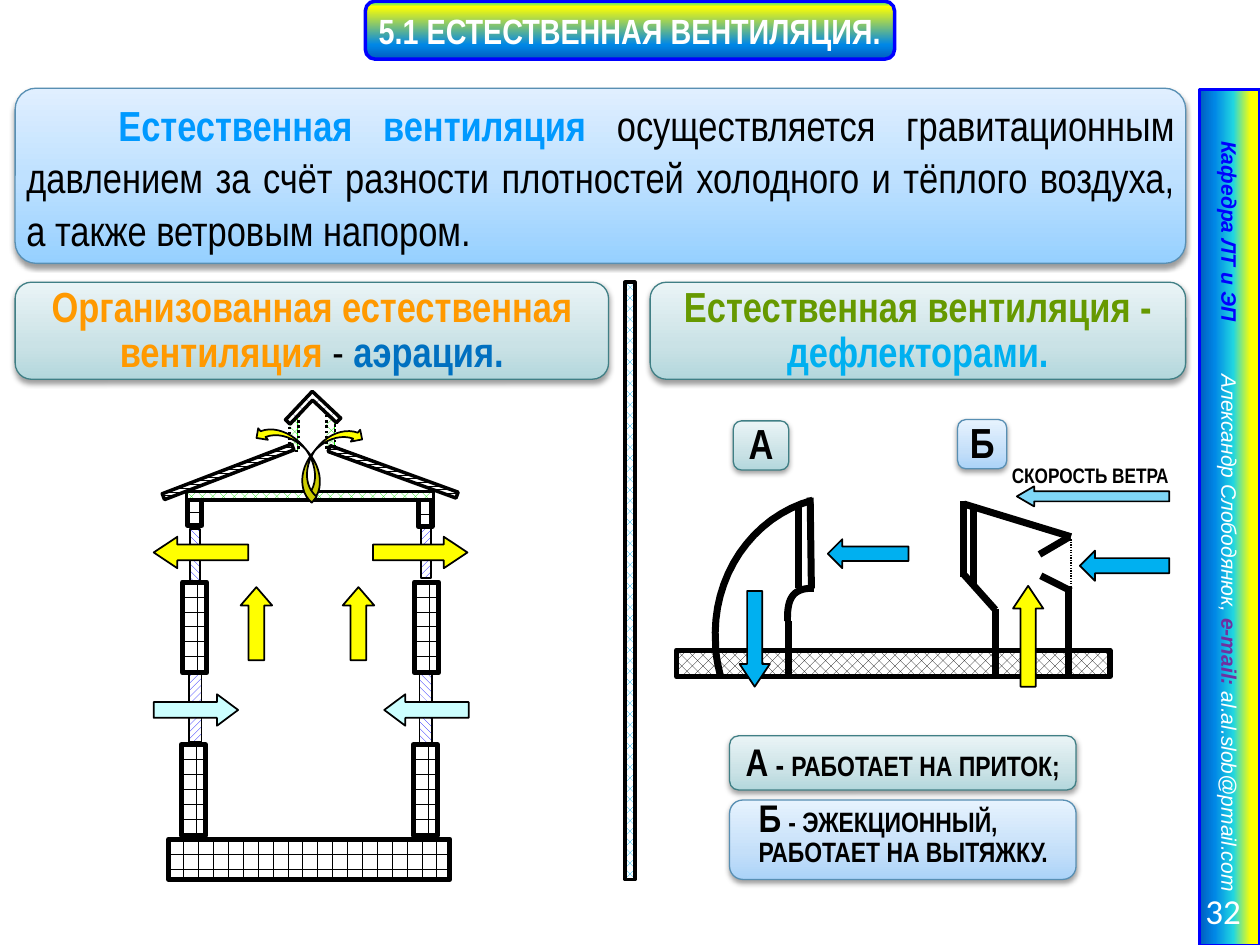
from pptx import Presentation
from pptx.dml.color import RGBColor
from pptx.enum.dml import MSO_LINE, MSO_PATTERN
from pptx.enum.shapes import MSO_CONNECTOR, MSO_SHAPE
from pptx.enum.text import MSO_ANCHOR, MSO_AUTO_SIZE, PP_ALIGN
from pptx.oxml.ns import qn
from pptx.util import Inches, Pt
from lxml import etree

RECT, ROUND, CORNER = MSO_SHAPE.RECTANGLE, MSO_SHAPE.ROUNDED_RECTANGLE, MSO_SHAPE.CORNER
LEFT, RIGHT = MSO_SHAPE.LEFT_ARROW, MSO_SHAPE.RIGHT_ARROW
UP, DOWN, CURVED = MSO_SHAPE.UP_ARROW, MSO_SHAPE.DOWN_ARROW, MSO_SHAPE.CURVED_UP_ARROW
BRICK, WEAVE, ZIGZAG = MSO_PATTERN.HORIZONTAL_BRICK, MSO_PATTERN.WEAVE, MSO_PATTERN.ZIG_ZAG
RISE, FALL = MSO_PATTERN.WIDE_UPWARD_DIAGONAL, MSO_PATTERN.WIDE_DOWNWARD_DIAGONAL
DOTS, LIGHT = MSO_PATTERN.PERCENT_60, MSO_PATTERN.PERCENT_25
DOTTED, STRAIGHT = MSO_LINE.ROUND_DOT, MSO_CONNECTOR.STRAIGHT
MIDDLE, NOFIT = MSO_ANCHOR.MIDDLE, MSO_AUTO_SIZE.NONE
START, CENTER, END, JUST = PP_ALIGN.LEFT, PP_ALIGN.CENTER, PP_ALIGN.RIGHT, PP_ALIGN.JUSTIFY

BLACK, WHITE = RGBColor(0, 0, 0), RGBColor(255, 255, 255)
BLUE, AZURE = RGBColor(0, 0, 0xFF), RGBColor(0, 0x99, 0xFF)
ORANGE, NAVY = RGBColor(0xFF, 0x99, 0), RGBColor(0, 0x70, 0xC0)
OLIVE, SKY = RGBColor(0x66, 0x99, 0), RGBColor(0, 0xB0, 0xF0)
PURPLE, GREEN = RGBColor(0x70, 0x30, 0xA0), RGBColor(0x13, 0xDF, 3)
YELLOW, PALE = RGBColor(0xFF, 0xFF, 0), RGBColor(0xCC, 0xFF, 0xFF)
SLATE = RGBColor(0x53, 0x54, 0x8A)
STEEL, TEAL = RGBColor(0x58, 0x8F, 0xB3), RGBColor(0x40, 0x7F, 0x85)

# Gradients: (share, colour) stops, then the angle counted anticlockwise
HEAD = ([(0, "03D4A8"), (9, "FFFF00"), (75, "0087E6"), (100, "005CBF")], 270)
SIDE = ([(15, "FFFF00"), (44, "21D6E0"), (75, "0087E6"), (100, "005CBF")], 270)
CLEAR = ([(0, "96D0FF"), (50, "BFE1FF"), (100, "E0EFFF")], 90)
MINT = ([(0, "B3D7DC"), (35, "CAE2E6"), (100, "EAF4F6")], 90)
ICE = ([(0, "ABD3F8"), (35, "C4DFF9"), (100, "E7F3FE")], 90)

# Runs: text, size, colour, bold
TITLE = [("5.1 ЕСТЕСТВЕННАЯ ВЕНТИЛЯЦИЯ.", 20, WHITE, True)]
INTRO = [("Естественная вентиляция ", 24, AZURE, True),
         ("осуществляется гравитационным давлением за счёт разности плотностей "
          "холодного и тёплого воздуха, а также ветровым напором.", 24, BLACK, False)]
ROOF = [("Организованная естественная вентиляция ", 24, ORANGE, True),
        ("- ", 24, BLACK, False), ("аэрация.", 24, NAVY, True)]
CAPS = [("Естественная вентиляция - ", 24, OLIVE, True), ("дефлекторами.", 24, SKY, True)]
KEY_A = [("А", 22, BLACK, True), (" - ", 18, BLACK, True),
         ("РАБОТАЕТ НА ПРИТОК;", 16, BLACK, True)]
KEY_B = [("Б", 22, BLACK, True), (" ", 18, BLACK, True),
         ("- ЭЖЕКЦИОННЫЙ, РАБОТАЕТ НА ВЫТЯЖКУ.", 16, BLACK, True)]
AUTHOR = [("Кафедра ЛТ и ЭП\t", 12, BLUE, True), ("Александр Слободянюк, ", 12, WHITE, False),
          ("e-mail: ", 12, PURPLE, True), ("al.al.slob@pmail.com", 12, WHITE, False)]

# Cards: place, gradient, edge, runs, alignment, line spacing, left inset
CARDS = [
    ((0.12, 0.7, 9.29, 1.39), CLEAR, STEEL, INTRO, JUST, 30, 0.04),
    ((0.12, 2.24, 4.71, 0.77), MINT, TEAL, ROOF, CENTER, 26, 0.04),
    ((5.16, 2.24, 4.25, 0.77), MINT, TEAL, CAPS, CENTER, 26, 0.04),
    ((5.79, 5.84, 2.75, 0.43), MINT, TEAL, KEY_A, CENTER, 24, 0.04),
    ((5.79, 6.35, 2.75, 0.63), ICE, STEEL, KEY_B, START, 16, 0.2),
    ((5.82, 3.34, 0.44, 0.39), MINT, TEAL, [("А", 24, BLACK, True)], CENTER, 26, 0.04),
    ((7.6, 3.33, 0.39, 0.39), ICE, STEEL, [("Б", 24, BLACK, True)], CENTER, 26, 0.04)]

# House pairs: left x, right x, left y, right y, width, height, patterns, colour, line
PAIRS = [
    (1.51, 3.34, 4.2, 4.18, 0.08, 0.41, FALL, RISE, BLUE, 1),
    (1.5, 3.33, 5.32, 5.34, 0.1, 0.57, RISE, FALL, BLUE, 1),
    (2.3, 2.59, 3.3, 3.29, 0.07, 0.28, DOTS, DOTS, GREEN, 1.5),
    (1.44, 3.28, 5.91, 5.91, 0.19, 0.72, BRICK, BRICK, BLACK, 3),
    (1.45, 3.29, 4.62, 4.62, 0.19, 0.72, BRICK, BRICK, BLACK, 3),
    (1.49, 3.32, 3.95, 3.96, 0.11, 0.22, BRICK, BRICK, BLACK, 3)]
# Single parts: shape, place, pattern, colour, line, turn
PARTS = [
    (RECT, (1.34, 6.66, 2.23, 0.32), BRICK, BLACK, 3, 0),
    (RECT, (1.48, 3.9, 1.96, 0.07), WEAVE, GREEN, 2, 0),
    (CORNER, (2.33, 3.17, 0.31, 0.31), LIGHT, SLATE, 2, 133.3),
    (RECT, (2.58, 3.72, 1.08, 0.05), ZIGZAG, BLACK, 2, 20),
    (RECT, (1.26, 3.72, 1.1, 0.05), ZIGZAG, BLACK, 2, 159),
    (RECT, (5.37, 5.16, 3.44, 0.21), WEAVE, BLACK, 3, 0),
    (RECT, (4.96, 2.24, 0.08, 4.74), WEAVE, SKY, 2, 0)]
# Air flows: shape, place, colour, head length
HOUSE_AIR = [
    (RIGHT, (1.22, 5.51, 0.67, 0.25), PALE, 0.67), (LEFT, (3.05, 5.51, 0.67, 0.25), PALE, 0.67),
    (UP, (1.91, 4.66, 0.25, 0.58), YELLOW, 0.58), (UP, (2.72, 4.66, 0.25, 0.58), YELLOW, 0.58),
    (RIGHT, (2.96, 4.26, 0.75, 0.25), YELLOW, 0.75),
    (LEFT, (1.22, 4.26, 0.75, 0.25), YELLOW, 0.75)]
CAP_AIR = [
    (LEFT, (6.57, 4.28, 0.64, 0.23), SKY, 0.5), (LEFT, (8.57, 4.37, 0.71, 0.24), SKY, 0.5),
    (DOWN, (5.87, 4.69, 0.24, 0.76), SKY, 0.75), (UP, (8.04, 4.65, 0.24, 0.8), YELLOW, 0.75)]
WIND = (LEFT, (8.07, 3.86, 1.21, 0.16), SKY, 0.86)
# Deflector walls: straight runs and Bezier curves
WALLS = [
    (6.34, 4, 6.34, 4.67), (6.43, 3.95, 6.44, 4.67), (6.26, 4.93, 6.26, 5.39),
    (7.65, 4, 8.5, 4.26), (7.65, 3.98, 7.65, 4.58), (8.48, 4.65, 8.48, 5.39),
    (8.25, 4.4, 8.49, 4.26), (8.5, 4.69, 8.26, 4.57), (7.9, 4.83, 7.9, 5.39),
    (7.73, 4, 7.73, 4.65), (7.65, 4.56, 7.9, 4.84)]
CURVES = [
    [(6.45, 3.97), (5.97, 4.1), (5.64, 4.58), (5.68, 5.12), (5.68, 5.2), (5.7, 5.29), (5.72, 5.37)],
    [(6.46, 4.67), (6.42, 4.67), (6.38, 4.67), (6.34, 4.69), (6.25, 4.73), (6.25, 4.85), (6.25, 4.93)]]

prs = Presentation()
prs.slide_width, prs.slide_height = Inches(10), Inches(7.5)
slide = prs.slides.add_slide(prs.slide_layouts[5])
shapes = slide.shapes


def edge(shape, color, width):
    shape.line.color.rgb, shape.line.width = color, Pt(width)


def shade(shape, grad):
    stops, angle = grad
    shape.fill.gradient()
    shape.fill.gradient_angle = angle
    box = next(shape.element.iter(qn("a:gsLst")))
    for old in list(box):
        box.remove(old)
    for share, color in stops:
        stop = etree.SubElement(box, qn("a:gs"), pos=str(share * 1000))
        etree.SubElement(stop, qn("a:srgbClr"), val=color)


def alpha(node, share):
    etree.SubElement(node, qn("a:alpha"), val=str(share * 1000))


def write(shape, runs, align, font="Arial Narrow", left=0.04, wrap=True, italic=None):
    frame = shape.text_frame
    frame.auto_size, frame.word_wrap, frame.vertical_anchor = NOFIT, wrap, MIDDLE
    frame.margin_left = Inches(left)
    frame.margin_right = frame.margin_top = frame.margin_bottom = Inches(0.04)
    para = frame.paragraphs[0]
    para.alignment = align
    for text, size, color, bold in runs:
        run = para.add_run()
        run.text = text
        face = run.font
        face.name, face.size, face.bold, face.italic = font, Pt(size), bold, italic
        face.color.rgb = color
    return para


def add(kind, place, width=1, color=BLACK, turn=0):
    shape = shapes.add_shape(kind, *map(Inches, place))
    shape.shadow.inherit = False
    shape.rotation = turn
    edge(shape, color, width)
    return shape


def hatch(kind, place, pattern, color, width, turn=0):
    shape = add(kind, place, width, turn=turn)
    shape.fill.patterned()
    shape.fill.pattern = pattern
    shape.fill.fore_color.rgb, shape.fill.back_color.rgb = color, WHITE
    return shape


def flow(kind, place, color, head=None, turn=0):
    shape = add(kind, place, turn=turn)
    shape.fill.solid()
    shape.fill.fore_color.rgb = color
    if head:
        shape.adjustments[1] = head
    return shape


def wall(x1, y1, x2, y2, width=4):
    line = shapes.add_connector(STRAIGHT, *map(Inches, (x1, y1, x2, y2)))
    edge(line, BLACK, width)
    etree.SubElement(line.element.spPr, qn("a:effectLst"))
    return line


def bend(points, steps=16):
    track = [points[0]]
    for i in range(0, len(points) - 1, 3):
        for k in range(1, steps + 1):
            t = k / steps
            parts = ((1 - t) ** 3, 3 * t * (1 - t) ** 2, 3 * t * t * (1 - t), t ** 3)
            track.append([sum(w * p[n] for w, p in zip(parts, points[i:i + 4])) for n in (0, 1)])
    track = [(Inches(x), Inches(y)) for x, y in track]
    pen = shapes.build_freeform(*track[0])
    pen.add_line_segments(track[1:], close=False)
    curve = pen.convert_to_shape()
    curve.shadow.inherit = False
    curve.fill.background()
    edge(curve, BLACK, 4)


# Title on its rounded plate
PLATE = (2.9, 0.01, 4.2, 0.46)
shade(add(ROUND, PLATE, 2, BLUE), HEAD)
title = shapes.title
title.left, title.top, title.width, title.height = map(Inches, PLATE)
write(title, TITLE, CENTER, wrap=False)
title.element.getparent().append(title.element)

# Text cards
for place, grad, color, runs, align, space, left in CARDS:
    card = add(ROUND, place, 0.75, color)
    shade(card, grad)
    glow = etree.SubElement(card.element.spPr.find(qn("a:effectLst")), qn("a:outerShdw"),
                            blurRad="40000", dist="20000", dir="5400000", rotWithShape="0")
    alpha(etree.SubElement(glow, qn("a:srgbClr"), val="000000"), 38)
    para = write(card, runs, align, left=left)
    para.line_spacing = Pt(space)
    if runs is INTRO:
        card.adjustments[0] = 0.12
        para._p.get_or_add_pPr().set("indent", str(Inches(0.73)))

# House, roof, slab and divider
for xl, xr, yl, yr, w, h, pl, pr, color, width in PAIRS:
    for x, y, pattern in ((xl, yl, pl), (xr, yr, pr)):
        part = hatch(RECT, (x, y, w, h), pattern, color, width)
        if pattern == DOTS:
            part.line.dash_style = DOTTED
for item in PARTS:
    part = hatch(*item)
    if item[0] == CORNER:
        part.adjustments[0] = part.adjustments[1] = 0.16
for item in HOUSE_AIR:
    flow(*item)
flow(CURVED, (1.96, 3.51, 0.73, 0.24), YELLOW, turn=229.6)
swirl = flow(CURVED, (2.25, 3.52, 0.7, 0.24), YELLOW, turn=308.5)
swirl.element.spPr.find(qn("a:xfrm")).set("flipV", "1")

# Deflectors
wall(8.5, 4.28, 8.5, 4.66, 0.75).line.dash_style = DOTTED
for curve in CURVES:
    bend(curve)
for ends in WALLS:
    wall(*ends)
for item in CAP_AIR:
    flow(*item)
wind = flow(*WIND)
alpha(wind.element.spPr.find(qn("a:solidFill"))[0], 50)
label = shapes.add_textbox(*map(Inches, (7.99, 3.63, 1.37, 0.28)))
write(label, [("СКОРОСТЬ ВЕТРА", 12, BLACK, True)], START, wrap=False)

# Side strip and page number
strip = add(RECT, (6.36, 3.87, 6.8, 0.48), 2, BLUE, 90)
shade(strip, SIDE)
para = write(strip, AUTHOR, START, "Arial", left=0.41, italic=True)
tabs = etree.SubElement(para._p.get_or_add_pPr(), qn("a:tabLst"))
etree.SubElement(tabs, qn("a:tab"), pos=str(Inches(1.85)), algn="l")
page = shapes.add_textbox(*map(Inches, (8.86, 7.03, 1.03, 0.4)))
write(page, [("32", 20, WHITE, False)], END, "Calibri")

prs.save("out.pptx")
